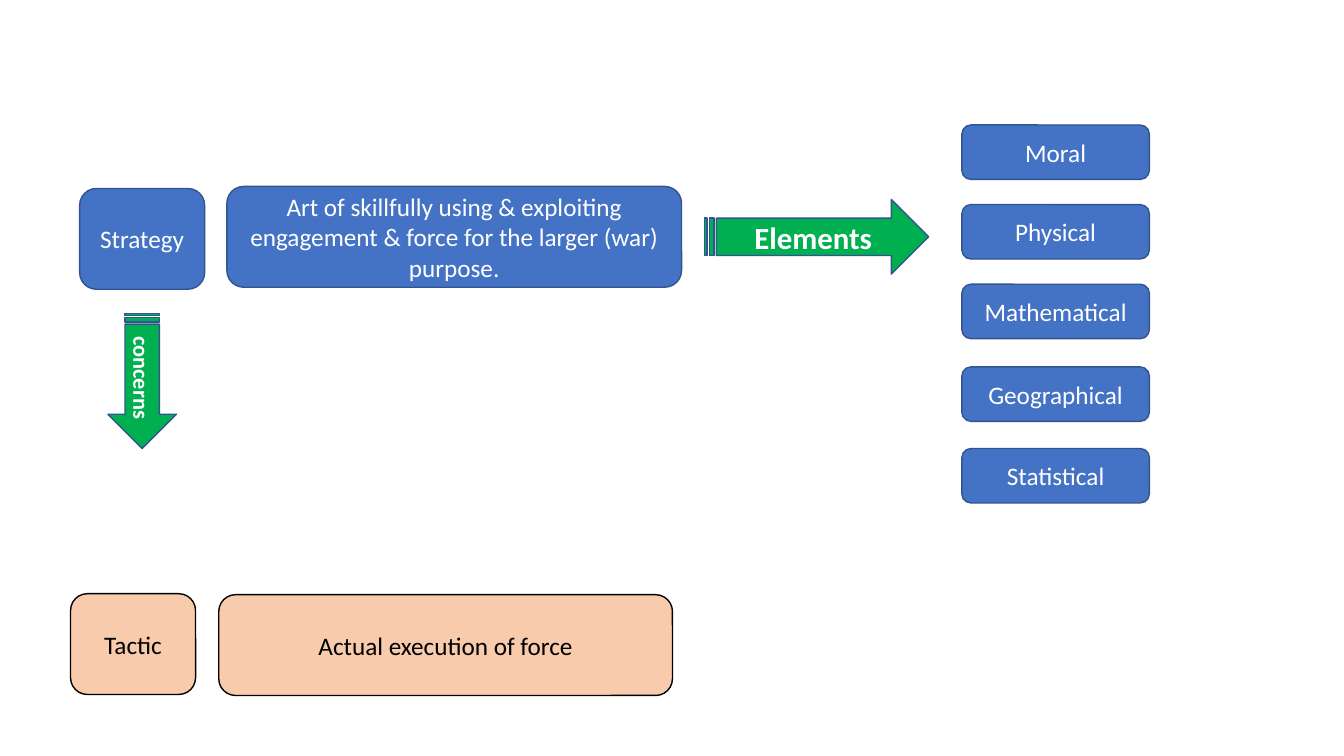
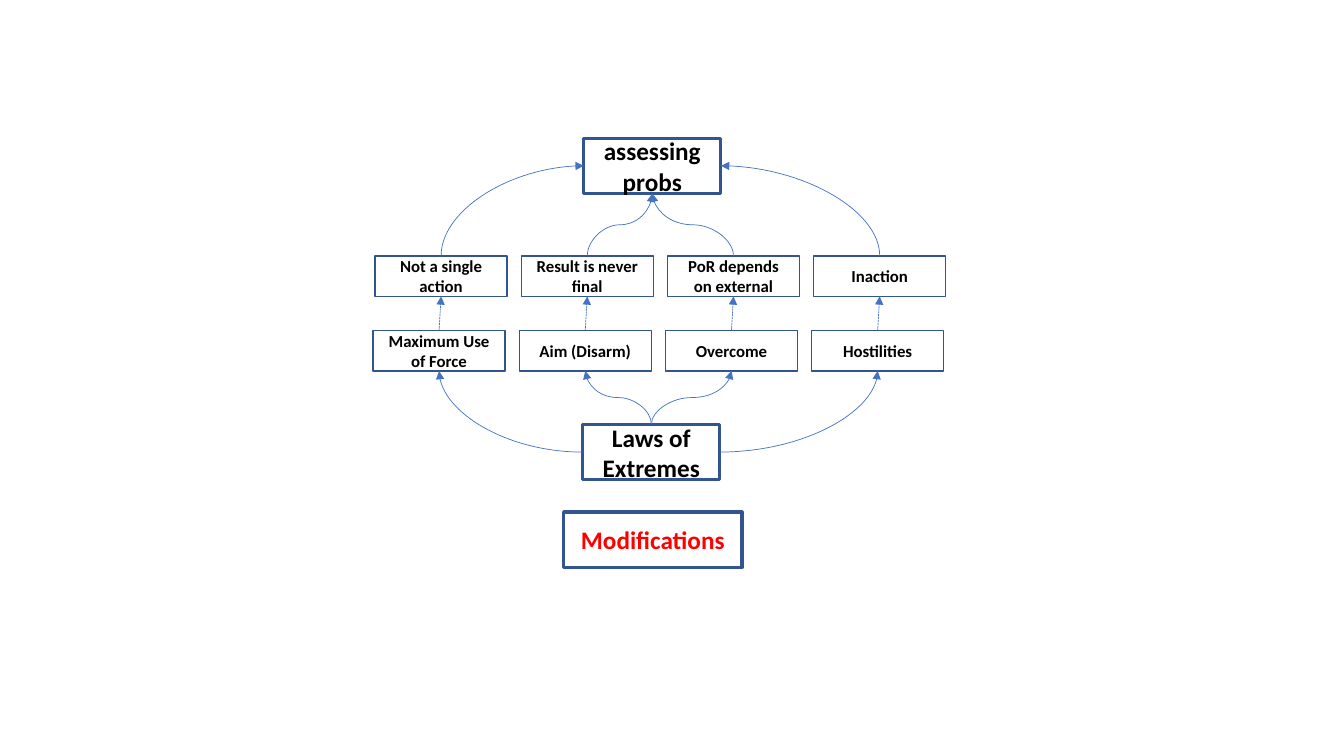
"""Build two diagram slides: strategy and tactic, and the laws of extremes."""
import dataclasses
import typing

import pptx
import pptx.dml.color
import pptx.enum.dml
import pptx.enum.shapes
import pptx.enum.text
import pptx.oxml
import pptx.oxml.ns
import pptx.util

EMU_PER_PX = 9144
FONT = "Calibri"
COLORS = {
    "blue": "4472C4",
    "navy": "325491",
    "green": "00B050",
    "peach": "F8CBAD",
    "white": "FFFFFF",
    "black": "000000",
    "red": "FF0000",
}
PRESET = pptx.enum.shapes.MSO_SHAPE
CONNECTOR = pptx.enum.shapes.MSO_CONNECTOR
TOP, LEFT, BOTTOM, RIGHT = range(4)


@dataclasses.dataclass(frozen=True)
class Style:
    """Look of a labelled shape."""

    preset: int
    fill: str
    line: str
    ink: str
    size: int = 18
    bold: bool = False
    weight: float = 1


@dataclasses.dataclass(frozen=True)
class Label:
    """A labelled shape and its place in px."""

    text: str
    left: int
    top: int
    width: int
    height: int
    style: Style
    rotation: int = 0


STRATEGY = Style(PRESET.ROUNDED_RECTANGLE, "blue", "navy", "white")
TACTIC = Style(PRESET.ROUNDED_RECTANGLE, "peach", "black", "black")
ARROW = Style(PRESET.STRIPED_RIGHT_ARROW, "green", "navy", "white", 22, True)
SMALL_ARROW = dataclasses.replace(ARROW, size=16)
STEP = Style(PRESET.RECTANGLE, "white", "navy", "black", 12, True)
HEADING = dataclasses.replace(STEP, size=18, weight=2.25)
CAPTION = dataclasses.replace(HEADING, ink="red")

STRATEGY_LABELS = [
    Label("Actual execution of force", 217, 590, 450, 100, TACTIC),
    Label(
        "Art of skillfully using & exploiting engagement & force for the larger (war) purpose.",
        225, 185, 451, 100, STRATEGY,
    ),
    Label("Strategy", 79, 187, 124, 100, STRATEGY),
    Label("Tactic", 70, 589, 124, 100, TACTIC),
    Label("Elements", 699, 198, 222, 74, ARROW),
    Label("concerns", 74, 344, 134, 68, SMALL_ARROW, 90),
]
ELEMENT_TOPS = {
    "Moral": 124,
    "Physical": 203,
    "Mathematical": 282,
    "Geographical": 364,
    "Statistical": 445,
}
EXTREMES = ["Maximum Use of Force", "Aim (Disarm)", "Overcome", "Hostilities"]
MODIFICATIONS = [
    "Not a single action",
    "Result is never final",
    "PoR depends on external",
    "Inaction",
]
STEP_PITCH = 145
HUB_SIDES = [(LEFT, LEFT), (TOP, BOTTOM), (TOP, BOTTOM), (RIGHT, RIGHT)]


def px(length: int) -> int:
    """Turn px into EMU."""
    return length * EMU_PER_PX


def rgb(name: str) -> pptx.dml.color.RGBColor:
    """Look up a named colour."""
    return pptx.dml.color.RGBColor.from_string(COLORS[name])


def draw_label(slide: typing.Any, label: Label) -> typing.Any:
    """Draw a labelled shape and return it."""
    style = label.style
    box = slide.shapes.add_shape(
        style.preset, px(label.left), px(label.top), px(label.width), px(label.height)
    )
    box.rotation = label.rotation
    box.shadow.inherit = False
    box.fill.solid()
    box.fill.fore_color.rgb = rgb(style.fill)
    box.line.color.rgb = rgb(style.line)
    box.line.width = pptx.util.Pt(style.weight)
    frame = box.text_frame
    frame.word_wrap = True
    frame.vertical_anchor = pptx.enum.text.MSO_ANCHOR.MIDDLE
    frame.text = label.text
    paragraph = frame.paragraphs[0]
    paragraph.alignment = pptx.enum.text.PP_ALIGN.CENTER
    paragraph.font.name = FONT
    paragraph.font.size = pptx.util.Pt(style.size)
    paragraph.font.bold = style.bold
    paragraph.font.color.rgb = rgb(style.ink)
    return box


def draw_steps(slide: typing.Any, texts: list[str], left: int, top: int) -> list[typing.Any]:
    """Draw an evenly spaced row of steps."""
    return [
        draw_label(slide, Label(text, left + i * STEP_PITCH, top, 131, 40, STEP))
        for i, text in enumerate(texts)
    ]


def join(
    slide: typing.Any, kind: int, start: typing.Any, start_side: int, end: typing.Any, end_side: int
) -> typing.Any:
    """Join two boxes with a thin arrow."""
    arrow = slide.shapes.add_connector(kind, 0, 0, 0, 0)
    arrow.begin_connect(start, start_side)
    arrow.end_connect(end, end_side)
    arrow.line.color.rgb = rgb("blue")
    arrow.line.width = pptx.util.Pt(0.5)
    if kind == CONNECTOR.STRAIGHT:
        arrow.line.dash_style = pptx.enum.dml.MSO_LINE.SQUARE_DOT
    namespace = pptx.oxml.ns.nsdecls("a")
    arrow.line._get_or_add_ln().append(
        pptx.oxml.parse_xml(f'<a:tailEnd {namespace} type="triangle"/>')
    )
    arrow._element.spPr.append(pptx.oxml.parse_xml(f"<a:effectLst {namespace}/>"))
    return arrow


def curve_up(
    slide: typing.Any, start: typing.Any, start_side: int, end: typing.Any, end_side: int
) -> None:
    """Join two boxes with a curve that rises from start to end."""
    arrow = join(slide, CONNECTOR.CURVE, start, start_side, end, end_side)
    run, rise = arrow.end_x - arrow.begin_x, arrow.end_y - arrow.begin_y
    middle_x = (arrow.begin_x + arrow.end_x) // 2
    middle_y = (arrow.begin_y + arrow.end_y) // 2
    leaves_upright = start_side == TOP
    rightward = run > 0
    width, height = (abs(rise), abs(run)) if leaves_upright else (abs(run), abs(rise))
    arrow.left, arrow.top = middle_x - width // 2, middle_y - height // 2
    arrow.width, arrow.height = width, height
    frame = arrow._element.spPr.xfrm
    if leaves_upright:
        frame.rot = 90.0 if rightward else 270.0
    else:
        frame.rot = 0.0 if rightward else 180.0
    frame.flipH = leaves_upright and rightward
    frame.flipV = leaves_upright or rightward
    if start_side % 2 != end_side % 2:
        geometry = arrow._element.spPr.find(pptx.oxml.ns.qn("a:prstGeom"))
        geometry.set("prst", "curvedConnector2")


def build_strategy(slide: typing.Any) -> None:
    """Draw strategy, its elements and tactic."""
    for label in STRATEGY_LABELS:
        draw_label(slide, label)
    for text, top in ELEMENT_TOPS.items():
        draw_label(slide, Label(text, 954, top, 186, 54, STRATEGY))


def build_extremes(slide: typing.Any) -> None:
    """Draw the laws of extremes and their modifications."""
    extremes = draw_steps(slide, EXTREMES, 370, 328)
    laws = draw_label(slide, Label("Laws of Extremes", 578, 421, 136, 55, HEADING))
    modifications = draw_steps(slide, MODIFICATIONS, 372, 254)
    assessing = draw_label(slide, Label("assessing probs", 579, 137, 136, 55, HEADING))
    draw_label(slide, Label("Modifications", 559, 508, 177, 55, CAPTION))
    for extreme, modification, (laws_side, assessing_side) in zip(
        extremes, modifications, HUB_SIDES
    ):
        curve_up(slide, laws, laws_side, extreme, BOTTOM)
        curve_up(slide, modification, TOP, assessing, assessing_side)
        join(slide, CONNECTOR.STRAIGHT, extreme, TOP, modification, BOTTOM)


def main() -> None:
    """Build and save the presentation."""
    deck = pptx.Presentation()
    deck.slide_width, deck.slide_height = px(1333), px(750)
    blank = deck.slide_layouts[6]
    for build in (build_strategy, build_extremes):
        build(deck.slides.add_slide(blank))
    deck.save("out.pptx")


if __name__ == "__main__":
    main()
